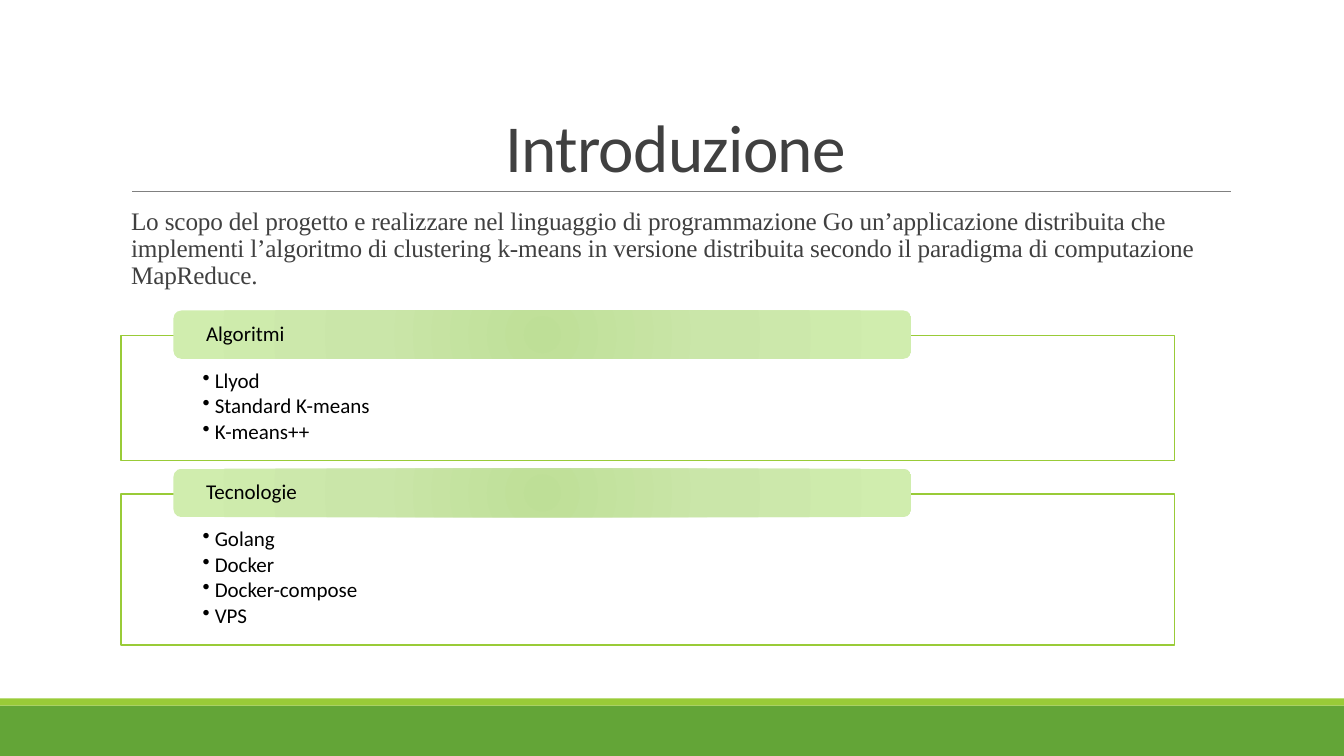
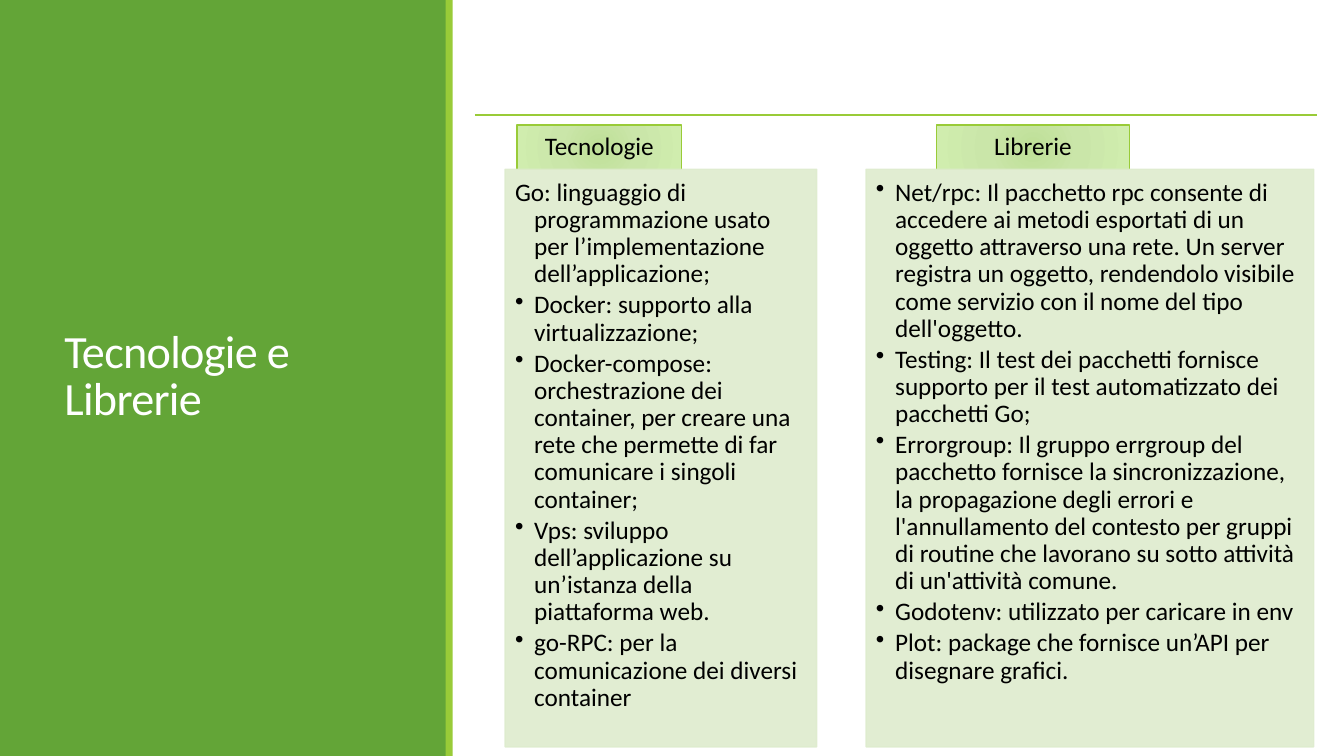
import pptx
import pptx.util
import pptx.dml.color
import pptx.enum.shapes
import pptx.enum.text
import pptx.oxml
import pptx.oxml.ns
from lxml import etree

Inches = pptx.util.Inches
Pt = pptx.util.Pt
Shape = pptx.enum.shapes.MSO_SHAPE
Align = pptx.enum.text.PP_ALIGN
Anchor = pptx.enum.text.MSO_ANCHOR

GREEN, LIME, GREY = "63A537", "99CB38", "808080"
INK, BLACK, WHITE, PALE = "404040", "000000", "FFFFFF", "DEECCE"
GLOW = [(0, "BEDF97"), (45, "CAE6A9"), (100, "D0EDAE")]
WIDE, HIGH = 13.33, 7.5

INTRO = (
    "Lo scopo del progetto e realizzare nel linguaggio di programmazione Go "
    "un’applicazione distribuita che implementi l’algoritmo di clustering k-means "
    "in versione distribuita secondo il paradigma di computazione MapReduce."
)
TOPICS = [
    ("Algoritmi", ["Llyod", "Standard K-means", "K-means++"]),
    ("Tecnologie", ["Golang", "Docker", "Docker-compose", "VPS"]),
]
PANELS = [
    {
        "name": "Tecnologie", "tab": (5.13, 1.63), "body": (5.01, 3.09),
        "plain": 1,
        "items": [
            "Go: linguaggio di programmazione usato per l’implementazione dell’applicazione;",
            "Docker: supporto alla virtualizzazione;",
            "Docker-compose: orchestrazione dei container, per creare una rete che "
            "permette di far comunicare i singoli container;",
            "Vps: sviluppo dell’applicazione su un’istanza della piattaforma web.",
            "go-RPC: per la comunicazione dei diversi container",
        ],
    },
    {
        "name": "Librerie", "tab": (9.29, 1.91), "body": (8.59, 4.44),
        "plain": 0,
        "items": [
            "Net/rpc: Il pacchetto rpc consente di accedere ai metodi esportati di un "
            "oggetto attraverso una rete. Un server registra un oggetto, rendendolo "
            "visibile come servizio con il nome del tipo dell'oggetto.",
            "Testing: Il test dei pacchetti fornisce supporto per il test automatizzato "
            "dei pacchetti Go;",
            "Errorgroup: Il gruppo errgroup del pacchetto fornisce la sincronizzazione, "
            "la propagazione degli errori e l'annullamento del contesto per gruppi di "
            "routine che lavorano su sotto attività di un'attività comune.",
            "Godotenv: utilizzato per caricare in env",
            "Plot: package che fornisce un’API per disegnare grafici.",
        ],
    },
]


def tint(code):
    """Turn a hex string into a colour."""
    return pptx.dml.color.RGBColor.from_string(code)


def fade(shape, share):
    """Make the solid fill and line of a shape partly opaque."""
    for tone in shape.element.spPr.iter(pptx.oxml.ns.qn("a:srgbClr")):
        etree.SubElement(tone, pptx.oxml.ns.qn("a:alpha"), val=str(share * 1000))


def glow(shape):
    """Fill a shape with the shared radial gradient."""
    stops = "".join(
        f'<a:gs pos="{at * 1000}"><a:srgbClr val="{code}"/></a:gs>' for at, code in GLOW
    )
    rect = '<a:fillToRect l="100000" t="100000" r="100000" b="100000"/>'
    shape.fill.background()
    blank = shape.element.spPr.find(pptx.oxml.ns.qn("a:noFill"))
    grad = pptx.oxml.parse_xml(
        f'<a:gradFill {pptx.oxml.ns.nsdecls("a")} rotWithShape="1"><a:gsLst>{stops}'
        f'</a:gsLst><a:path path="circle">{rect}</a:path></a:gradFill>'
    )
    shape.element.spPr.replace(blank, grad)


def block(slide, box, fill=None, line=None, kind=Shape.RECTANGLE):
    """Add a shape, glowing when it has no plain fill."""
    shape = slide.shapes.add_shape(kind, *map(Inches, box))
    shape.shadow.inherit = False
    if fill:
        shape.fill.solid()
        shape.fill.fore_color.rgb = tint(fill)
    else:
        glow(shape)
    if line:
        shape.line.color.rgb = tint(line)
        shape.line.width = Pt(1)
    else:
        shape.line.fill.background()
    return shape


def rule(slide, left, right, top, color, width):
    """Draw a level line."""
    line = slide.shapes.add_connector(
        pptx.enum.shapes.MSO_CONNECTOR.STRAIGHT,
        Inches(left), Inches(top), Inches(right), Inches(top),
    )
    line.line.color.rgb = tint(color)
    line.line.width = Pt(width)
    etree.SubElement(line.element.spPr, pptx.oxml.ns.qn("a:effectLst"))


def write(shape, items, size, color=BLACK, font="Calibri", pads=(0.1, 0.05, 0.1, 0.05),
          anchor=Anchor.TOP, align=Align.LEFT, lead=0.9, after=0, left=0, hang=0,
          plain=None, track=0):
    """Fill a shape with paragraphs; those from index plain on get bullets."""
    frame = shape.text_frame
    frame.word_wrap = True
    frame.vertical_anchor = anchor
    frame.margin_left, frame.margin_top, frame.margin_right, frame.margin_bottom = map(
        Inches, pads
    )
    for i, text in enumerate(items):
        para = frame.paragraphs[0] if i == 0 else frame.add_paragraph()
        run = para.add_run()
        run.text = text
        props = para._p.get_or_add_pPr()
        props.set("marL", str(Inches(left)))
        props.set("indent", str(-Inches(hang)))
        if plain is not None and i >= plain:
            etree.SubElement(props, pptx.oxml.ns.qn("a:buChar"), char="•")
        para.alignment = align
        para.line_spacing = lead
        para.space_after = Pt(after)
        para.font.size = Pt(size)
        para.font.name = font
        para.font.color.rgb = tint(color)
        if track:
            run._r.get_or_add_rPr().set("spc", str(track))


def label(slide, box, items, size, **style):
    """Add a text box."""
    write(slide.shapes.add_textbox(*map(Inches, box)), items, size, **style)


def title(slide, box, text, size, **style):
    """Add a slide title."""
    label(slide, box, [text], size, lead=0.85, track=-50, **style)


def bands(slide, main, edge):
    """Draw the green band and its lime edge."""
    block(slide, main, GREEN)
    block(slide, edge, LIME)


def intro(slide):
    """Build the introduction."""
    bands(slide, (0, 7, WIDE, 0.5), (0, 6.93, WIDE, 0.07))
    rule(slide, 1.31, 12.21, 1.9, GREY, 0.5)
    title(slide, (1.2, 0.31, 11, 1.59), "Introduzione", 48, color=INK,
          anchor=Anchor.BOTTOM, align=Align.CENTER)
    label(slide, (1.2, 2.02, 11, 1), [INTRO], 18, color=INK, font="Times New Roman",
          pads=(0, 0.05, 0, 0.05), left=0.1, track=-10)
    top = 3.33
    for name, items in TOPICS:
        tall = 0.46 + 0.26 * len(items)
        body = block(slide, (1.2, top, 10.45, tall), WHITE, LIME)
        write(body, items, 15, pads=(0.81, 0.34, 0.81, 0.12), after=2.25,
              left=0.12, hang=0.12, plain=0)
        head = block(slide, (1.72, top - 0.25, 7.32, 0.48), kind=Shape.ROUNDED_RECTANGLE)
        write(head, [name], 15, pads=(0.3, 0, 0.3, 0), anchor=Anchor.MIDDLE)
        top += tall + 0.33


def tools(slide):
    """Build the technologies and libraries."""
    bands(slide, (0, 0, 4.43, HIGH), (4.42, 0, 0.07, HIGH))
    title(slide, (0.54, 0.66, 3.37, 6.17), "Tecnologie e Librerie", 33, color=WHITE,
          anchor=Anchor.MIDDLE)
    rule(slide, 4.71, 13.06, 1.14, LIME, 1)
    for panel in PANELS:
        left, wide = panel["tab"]
        tab = block(slide, (left, 1.24, wide, 0.44), line=LIME)
        write(tab, [panel["name"]], 18, pads=(0.14, 0.08, 0.14, 0.08),
              anchor=Anchor.MIDDLE, align=Align.CENTER)
        left, wide = panel["body"]
        body = block(slide, (left, 1.68, wide, 5.73), PALE, PALE)
        fade(body, 90)
        write(body, panel["items"], 18, pads=(0.1, 0.1, 0.14, 0.16), after=2.7,
              left=0.19, hang=0.19, plain=panel["plain"])


def main():
    """Build and save the slides."""
    deck = pptx.Presentation()
    deck.slide_width, deck.slide_height = Inches(WIDE), Inches(HIGH)
    for build in (intro, tools):
        build(deck.slides.add_slide(deck.slide_layouts[6]))
    deck.save("out.pptx")


if __name__ == "__main__":
    main()
